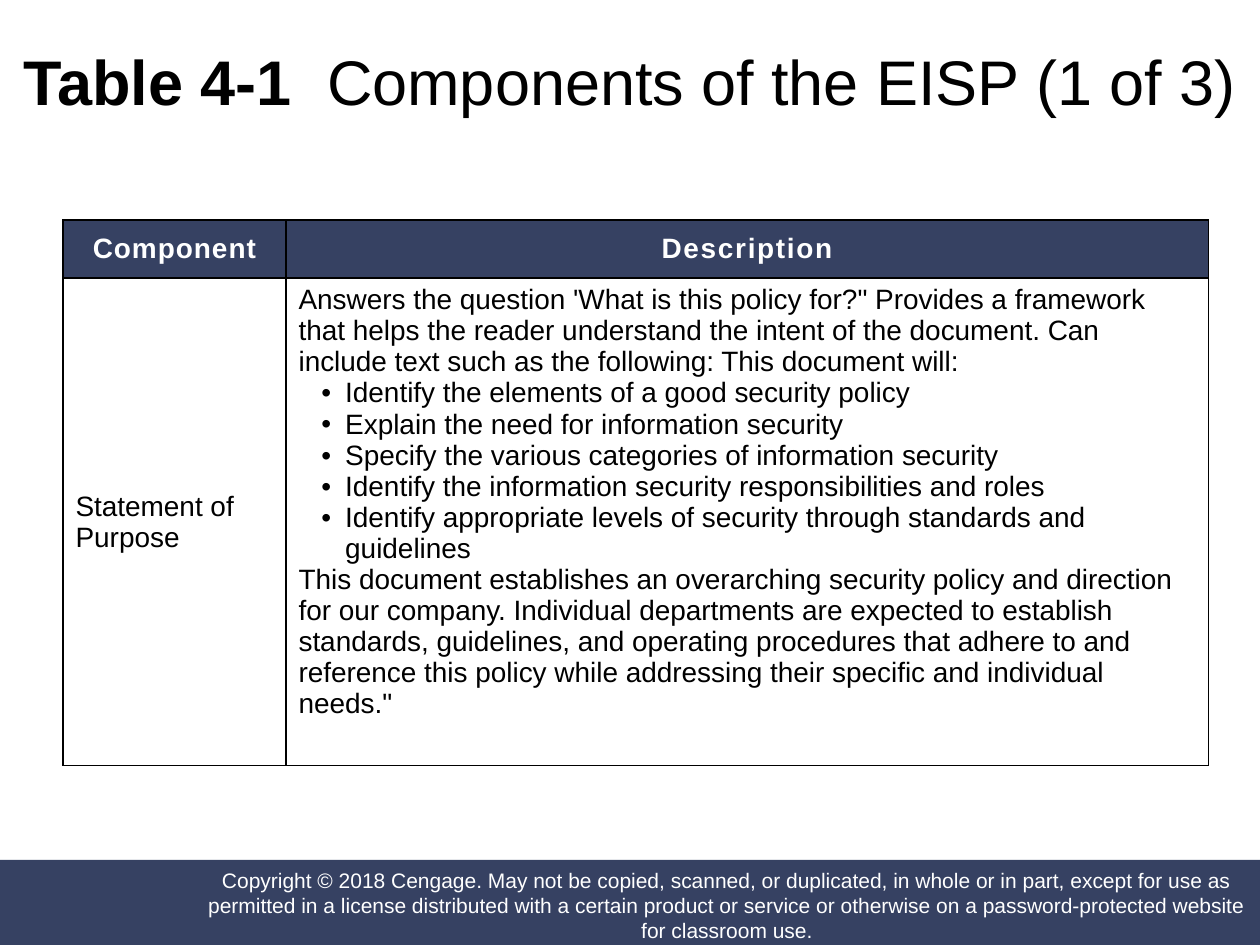
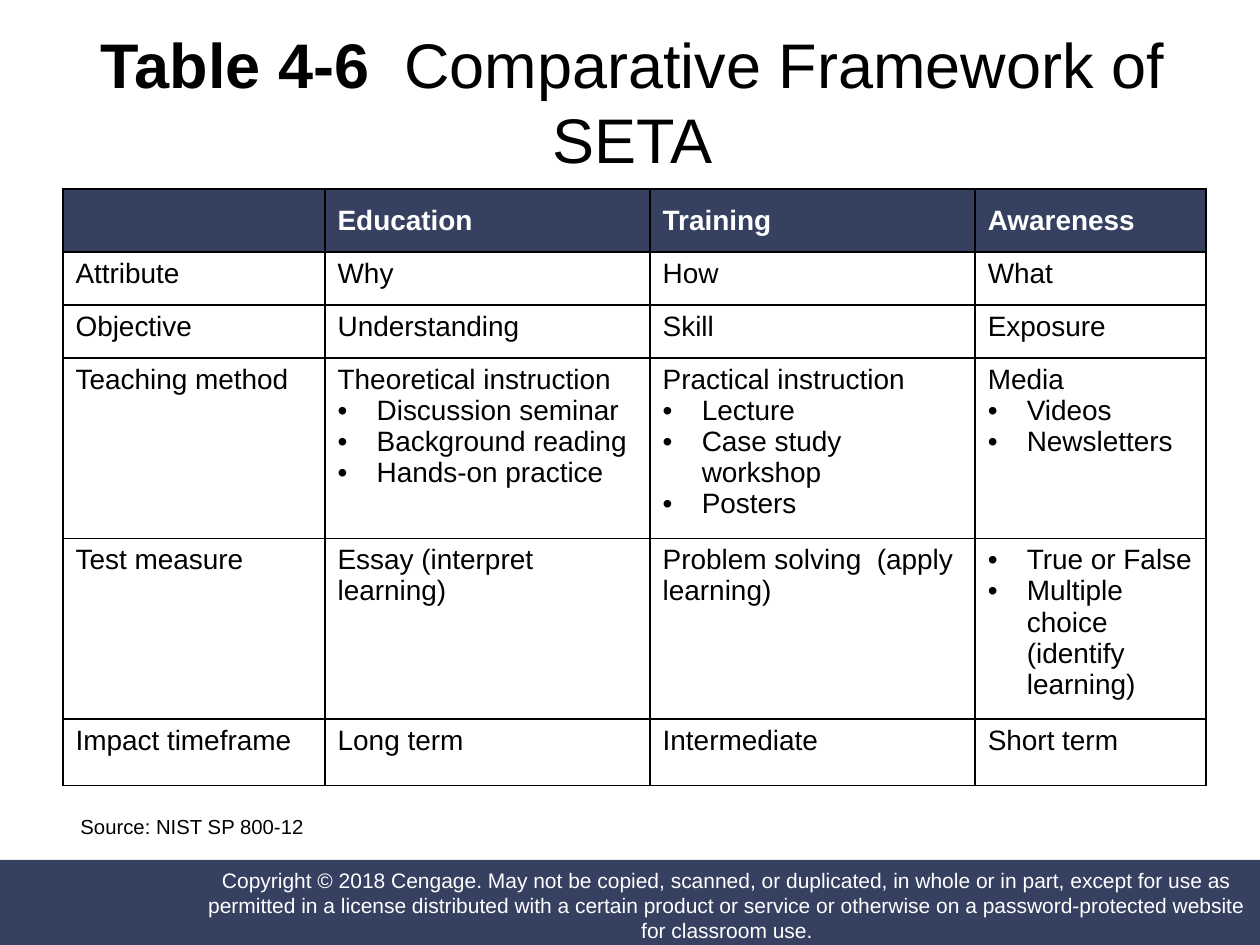
from lxml import etree
from pptx import Presentation
from pptx.dml.color import RGBColor
from pptx.enum import shapes, text
from pptx.oxml import parse_xml
from pptx.oxml.ns import nsdecls, qn
from pptx.util import Inches, Pt

NAVY = RGBColor(0x36, 0x41, 0x62)
WHITE = RGBColor(0xFF, 0xFF, 0xFF)
BLACK = RGBColor(0, 0, 0)
FONT = "Arial"
LEFT, CENTER = text.PP_ALIGN.LEFT, text.PP_ALIGN.CENTER
TOP, MIDDLE = text.MSO_ANCHOR.TOP, text.MSO_ANCHOR.MIDDLE

prs = Presentation()
prs.slide_width, prs.slide_height = Inches(10), Inches(7.5)
W, H = prs.slide_width, prs.slide_height

COPYRIGHT = (
    "Copyright © 2018 Cengage. May not be copied, scanned, or duplicated, in whole or "
    "in part, except for use as permitted in a license distributed with a certain "
    "product or service or otherwise on a password-protected website for classroom use."
)

HEAD = {"size": Pt(16), "bold": True, "color": WHITE}
BODY = {"size": Pt(16), "bold": False, "color": BLACK}

tables = [
    {
        "title": ("Table 4-1  ", "Components of the EISP (1 of 3)"),
        "title_box": (0, 0.017, 1, 0.137),
        "top": 0.233,
        "cols": [1.77, 7.32],
        "rows": [0.46, 3.87],
        "indent": (0.37, -0.19),
        "head_align": CENTER,
        "spacing": [60, 100],
        "middle_first": True,
        "cells": [
            ["Component", "Description"],
            [
                "Statement of Purpose",
                "Answers the question 'What is this policy for?\" Provides a framework that "
                "helps the reader understand the intent of the document. Can include text "
                "such as the following: This document will:\n"
                "•Identify the elements of a good security policy\n"
                "•Explain the need for information security\n"
                "•Specify the various categories of information security\n"
                "•Identify the information security responsibilities and roles\n"
                "•Identify appropriate levels of security through standards and guidelines\n"
                "This document establishes an overarching security policy and direction for "
                "our company. Individual departments are expected to establish standards, "
                "guidelines, and operating procedures that adhere to and reference this "
                "policy while addressing their specific and individual needs.\"",
            ],
        ],
    },
    {
        "title": ("Table 4-6  ", "Comparative Framework of SETA"),
        "title_box": (0.063, 0.033, 0.878, 0.147),
        "top": 0.2,
        "cols": [2.08, 2.58, 2.58, 1.83],
        "rows": [0.5, 0.42, 0.42, 1.08, 0.9, 0.53],
        "indent": (0.31, -0.31),
        "head_align": LEFT,
        "spacing": [0] * 4,
        "middle_first": False,
        "source": "Source: NIST SP 800-12",
        "cells": [
            ["", "Education", "Training", "Awareness"],
            ["Attribute", "Why", "How", "What"],
            ["Objective", "Understanding", "Skill", "Exposure"],
            [
                "Teaching method",
                "Theoretical instruction\n•Discussion seminar\n•Background reading\n"
                "•Hands-on practice",
                "Practical instruction\n•Lecture\n•Case study workshop\n•Posters",
                "Media\n•Videos\n•Newsletters",
            ],
            [
                "Test measure",
                "Essay (interpret learning)",
                "Problem solving  (apply learning)",
                "•True or False\n•Multiple choice (identify learning)",
            ],
            ["Impact timeframe", "Long term", "Intermediate", "Short term"],
        ],
    },
]


def add_run(p, words, fmt):
    r = p.add_run()
    r.text = words
    r.font.name = FONT
    for name, value in fmt.items():
        if name == "color":
            r.font.color.rgb = value
        else:
            setattr(r.font, name, value)
    return r


def add_box(s, box, filled=False, anchor=MIDDLE):
    x, y, w, h = box
    place = [int(v) for v in (x * W, y * H, w * W, h * H)]
    if filled:
        sp = s.shapes.add_shape(shapes.MSO_SHAPE.RECTANGLE, *place)
        sp.shadow.inherit = False
        sp.fill.solid()
        sp.fill.fore_color.rgb = NAVY
        sp.line.fill.background()
    else:
        sp = s.shapes.add_textbox(*place)
    tf = sp.text_frame
    tf.word_wrap = True
    tf.vertical_anchor = anchor
    return tf


for spec_table in tables:
    s = prs.slides.add_slide(prs.slide_layouts[6])
    s.background.fill.solid()
    s.background.fill.fore_color.rgb = WHITE

    # Footer band and copyright
    add_box(s, (0, 0.91, 1, 0.09), filled=True)
    tf = add_box(s, (0.162, 0.915, 0.83, 0.085), filled=True)
    for side in ("left", "right", "top", "bottom"):
        setattr(tf, f"margin_{side}", 0)
    p = tf.paragraphs[0]
    p.alignment = CENTER
    add_run(p, COPYRIGHT, {"size": Pt(12), "color": WHITE})

    # Title: bold number, plain name
    p = add_box(s, spec_table["title_box"]).paragraphs[0]
    p.alignment = CENTER
    for words, bold in zip(spec_table["title"], (True, False)):
        add_run(p, words, {"size": Pt(36), "bold": bold, "color": BLACK})

    # Table grid
    cols, rows = spec_table["cols"], spec_table["rows"]
    tbl = s.shapes.add_table(
        len(rows), len(cols), int(0.05 * W), int(spec_table["top"] * H),
        Inches(sum(cols)), Inches(sum(rows))).table
    tbl.horz_banding = False
    for col, width in zip(tbl.columns, cols):
        col.width = Inches(width)
    for row, height in zip(tbl.rows, rows):
        row.height = Inches(height)

    # Table cells
    for i, line in enumerate(spec_table["cells"]):
        for j, words in enumerate(line):
            cell = tbl.cell(i, j)
            head = i == 0
            middle = head or (j == 0 and spec_table["middle_first"])
            cell.vertical_anchor = MIDDLE if middle else TOP
            if head:
                cell.fill.solid()
                cell.fill.fore_color.rgb = NAVY
            else:
                cell.fill.background()
            tcPr = cell._tc.get_or_add_tcPr()
            for k, edge in enumerate(("lnL", "lnR", "lnT", "lnB")):
                tcPr.insert(k, parse_xml(
                    f'<a:{edge} {nsdecls("a")} w="{Pt(1)}"><a:solidFill>'
                    f'<a:srgbClr val="{BLACK}"/></a:solidFill></a:{edge}>'))
            for k, item in enumerate(words.split("\n")):
                tf = cell.text_frame
                p = tf.add_paragraph() if k else tf.paragraphs[0]
                p.alignment = spec_table["head_align"] if head else LEFT
                if item.startswith("•"):
                    pPr = p._p.get_or_add_pPr()
                    for name, inches in zip(("marL", "indent"), spec_table["indent"]):
                        pPr.set(name, str(Inches(inches)))
                    etree.SubElement(pPr, qn("a:buFont"), typeface=FONT)
                    etree.SubElement(pPr, qn("a:buChar"), char="•")
                if item:
                    r = add_run(p, item.lstrip("•"), HEAD if head else BODY)
                    if head and spec_table["spacing"][j]:
                        r._r.get_or_add_rPr().set("spc", str(spec_table["spacing"][j]))

    # Source line, raised
    if "source" in spec_table:
        p = add_box(s, (0.054, 0.856, 0.713, 0.056), anchor=TOP).paragraphs[0]
        p.line_spacing = 0.9
        r = add_run(p, spec_table["source"], {"size": Pt(20), "color": BLACK})
        r._r.get_or_add_rPr().set("baseline", "30000")

prs.save("out.pptx")
